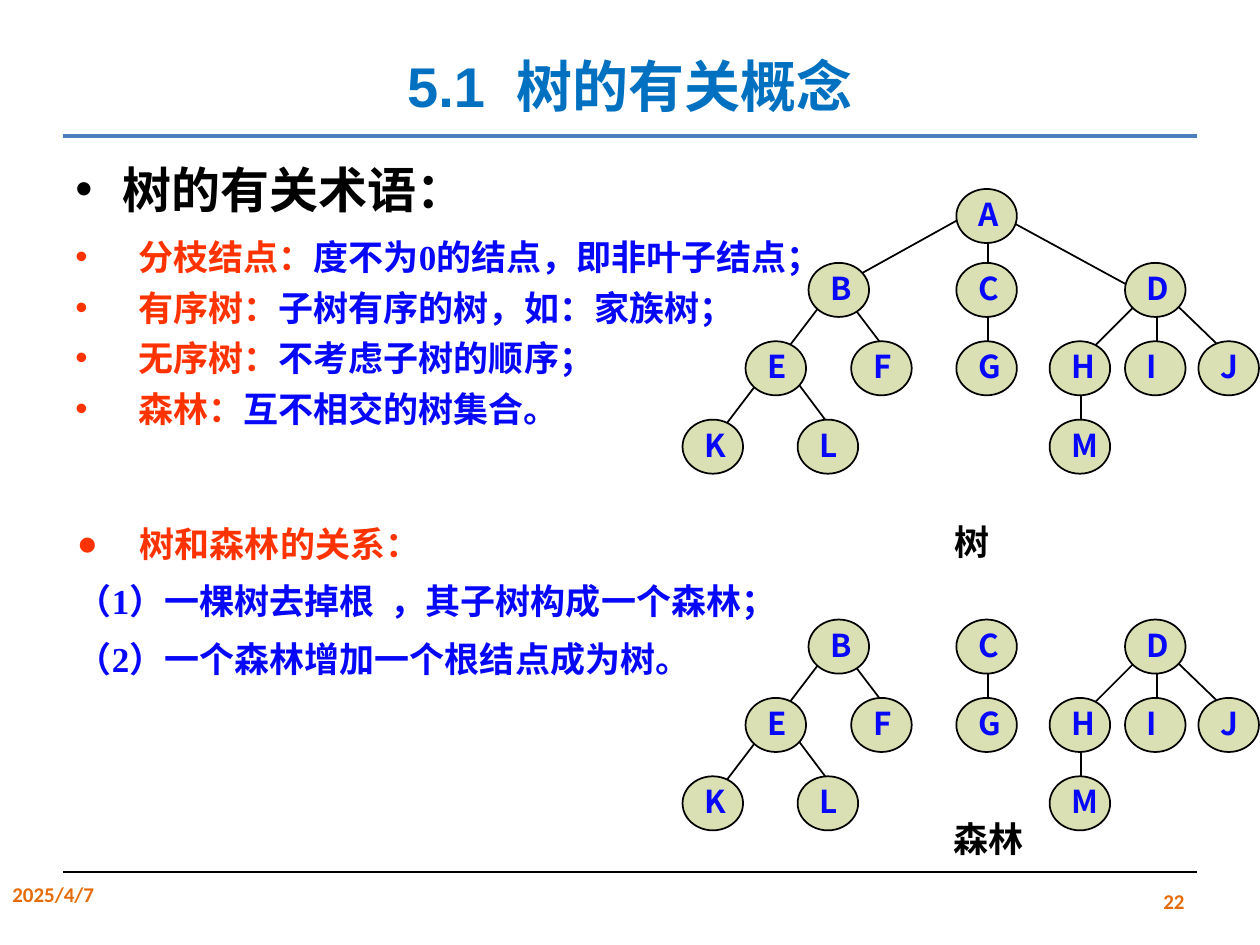
from typing import Any, NamedTuple

from lxml import etree
from pptx import Presentation, util as u
from pptx.dml import color
from pptx.enum import shapes, text
from pptx.oxml import ns

BLUE, RED, BLACK, ORANGE = "0707F9", "FF3300", "000000", "E46C0A"
SERIF, SANS = "Times New Roman", "Calibri"
ROWS = [3.81, 5.3, 6.88, 8.46]
DROP = 7.19


class Node(NamedTuple):
    name: str
    left: float
    row: int


class Edge(NamedTuple):
    x1: float
    y1: float
    x2: float
    y2: float


class Para(NamedTuple):
    runs: list[tuple[str, str]]
    bullet: str = ""
    indent: float = 0


class Style(NamedTuple):
    font: str
    size: int
    align: Any = text.PP_ALIGN.LEFT
    anchor: Any = text.MSO_ANCHOR.TOP
    space: Any = None
    gap: float = 0


NODES = [
    Node("A", 19.28, 0),
    Node("B", 16.3, 1), Node("C", 19.28, 1), Node("D", 22.68, 1),
    Node("E", 15.03, 2), Node("F", 17.16, 2), Node("G", 19.28, 2),
    Node("H", 21.16, 2), Node("I", 22.68, 2), Node("J", 24.16, 2),
    Node("K", 13.76, 3), Node("L", 16.08, 3), Node("M", 21.16, 3),
]
ROOT = [
    Edge(19.91, 4.88, 19.91, 5.28),
    Edge(19.28, 4.45, 17.37, 5.51),
    Edge(20.35, 4.45, 22.68, 5.72),
]
LOWER = [
    Edge(16.54, 6.15, 15.9, 6.99), Edge(17.17, 6.15, 17.81, 6.99),
    Edge(19.91, 6.35, 19.91, 6.99), Edge(22.89, 6.15, 22.05, 6.99),
    Edge(23.32, 6.35, 23.32, 6.99), Edge(23.72, 6.15, 24.59, 6.99),
    Edge(15.27, 7.72, 14.63, 8.56), Edge(16.08, 7.72, 16.71, 8.56),
    Edge(21.79, 7.92, 21.79, 8.56),
]
TERMS = [
    ("分枝结点：", "度不为0的结点，即非叶子结点；"),
    ("有序树：", "子树有序的树，如：家族树；"),
    ("无序树：", "不考虑子树的顺序；"),
    ("森林：", "互不相交的树集合。"),
]
LINKS = [
    Para([("树和森林的关系：", RED)], "●", 1.27),
    Para([("（1）一棵树去掉根  ，其子树构成一个森林；", BLUE)], "", 1.27),
    Para([("（2）一个森林增加一个根结点成为树。", BLUE)], "", 1.27),
]


def rgb(code: str) -> color.RGBColor:
    return color.RGBColor.from_string(code)


def mark(para: Any, item: Para) -> None:
    """Set the hanging indent and the bullet of a paragraph."""
    props = para._p.get_or_add_pPr()
    if item.indent:
        props.set("marL", str(u.Cm(item.indent)))
        props.set("indent", str(-u.Cm(item.indent)))
    if item.bullet:
        tint = etree.SubElement(props, ns.qn("a:buClr"))
        etree.SubElement(tint, ns.qn("a:srgbClr"), val=item.runs[0][1])
        etree.SubElement(props, ns.qn("a:buFont"), typeface="Arial")
        etree.SubElement(props, ns.qn("a:buChar"), char=item.bullet)


def write(host: Any, box: tuple[float, ...], items: list[Para], style: Style) -> None:
    frame = host.add_textbox(*map(u.Cm, box)).text_frame
    frame.word_wrap = True
    frame.vertical_anchor = style.anchor
    for num, item in enumerate(items):
        para = frame.add_paragraph() if num else frame.paragraphs[0]
        para.alignment = style.align
        if style.space:
            para.line_spacing = style.space
        if num:
            para.space_before = u.Pt(style.gap)
        mark(para, item)
        font = para.font
        font.name, font.size, font.bold = style.font, u.Pt(style.size), True
        font.color.rgb = rgb(item.runs[0][1])
        for words, tint in item.runs:
            run = para.add_run()
            run.text = words
            if tint != item.runs[0][1]:
                run.font.color.rgb = rgb(tint)


def rule(host: Any, edge: Edge, width: float, tint: str = BLACK) -> None:
    line = host.add_connector(shapes.MSO_CONNECTOR.STRAIGHT, *map(u.Cm, edge))
    line.line.width = u.Pt(width)
    line.line.color.rgb = rgb(tint)
    etree.SubElement(line._element.spPr, ns.qn("a:effectLst"))


def knot(host: Any, node: Node, drop: float) -> None:
    top = ROWS[node.row] + drop
    oval = host.add_shape(shapes.MSO_SHAPE.OVAL, *map(u.Cm, (node.left, top, 1.22, 1.09)))
    oval.shadow.inherit = False
    oval.fill.solid()
    oval.fill.fore_color.rgb = rgb("DBE0B4")
    oval.line.color.rgb = rgb(BLACK)
    oval.line.width = u.Pt(1)
    write(host, (node.left + 0.19, top, 1.22, 1.02), [Para([(node.name, BLUE)])],
          Style("Noto Sans CJK SC", 18))


def graph(host: Any, nodes: list[Node], edges: list[Edge], drop: float = 0) -> None:
    group = host.add_group_shape().shapes
    for edge in edges:
        rule(group, Edge(edge.x1, edge.y1 + drop, edge.x2, edge.y2 + drop), 1)
    for node in nodes:
        knot(group, node, drop)


def main() -> None:
    deck = Presentation()
    deck.slide_width, deck.slide_height = u.Cm(25.4), u.Cm(19.05)
    host = deck.slides.add_slide(deck.slide_layouts[6]).shapes
    mid, right = text.PP_ALIGN.CENTER, text.PP_ALIGN.RIGHT
    core = text.MSO_ANCHOR.MIDDLE

    rule(host, Edge(1.27, 2.74, 24.13, 2.74), 2.75, "4B7EBC")
    write(host, (1.27, 3.18, 22.86, 14.17), [Para([("树的有关术语：", BLACK)], "•", 0.95)],
          Style(SANS, 28, text.PP_ALIGN.JUSTIFY, space=u.Pt(31)))
    write(host, (18.21, 17.65, 5.92, 1.02), [Para([("22", ORANGE)])],
          Style(SANS, 12, right, core))
    write(host, (1.27, 0, 22.86, 2.77), [Para([("5.1  树的有关概念", "0070C0")])],
          Style("Arial", 32, mid, core, 1.5))
    write(host, (0, 17.65, 5.92, 1.02), [Para([("2025/4/7", ORANGE)])], Style(SANS, 12))
    rule(host, Edge(1.27, 17.58, 24.13, 17.58), 0.75)

    terms = [Para([(term, RED), (gloss, BLUE)], "•", 1.27) for term, gloss in TERMS]
    write(host, (1.27, 4.62, 26.01, 4.95), terms, Style(SERIF, 20, gap=5))
    graph(host, NODES, ROOT + LOWER)
    write(host, (18.82, 10.36, 1.57, 1.12), [Para([("树", BLACK)])], Style(SERIF, 20, mid))
    write(host, (1.3, 10.29, 17.75, 4.95), LINKS, Style(SERIF, 20, space=1.15, gap=5))
    graph(host, NODES[1:], LOWER, DROP)
    write(host, (18.14, 16.36, 3.56, 1.12), [Para([("森林", BLACK)])], Style(SERIF, 20, mid))
    deck.save("out.pptx")


if __name__ == "__main__":
    main()
